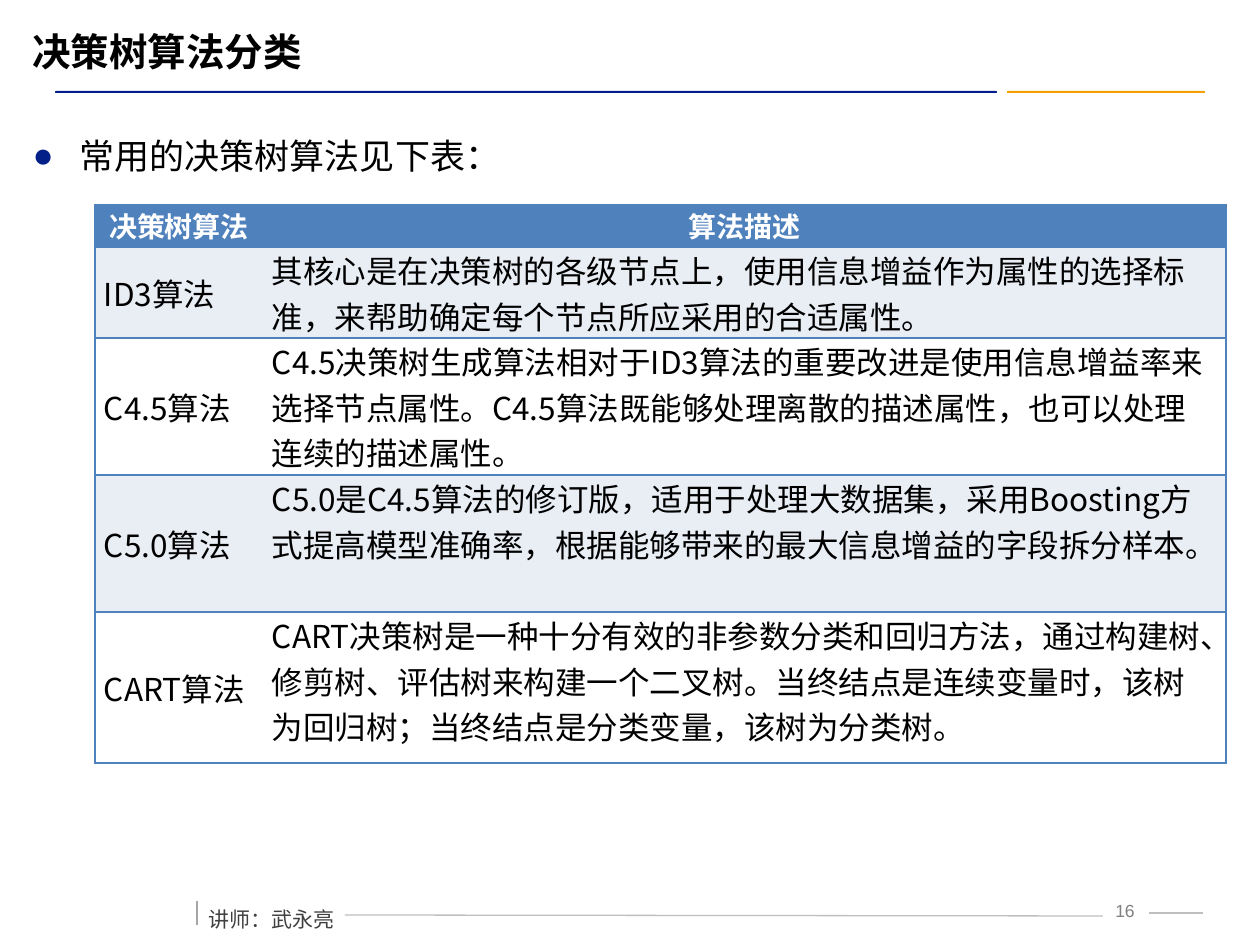
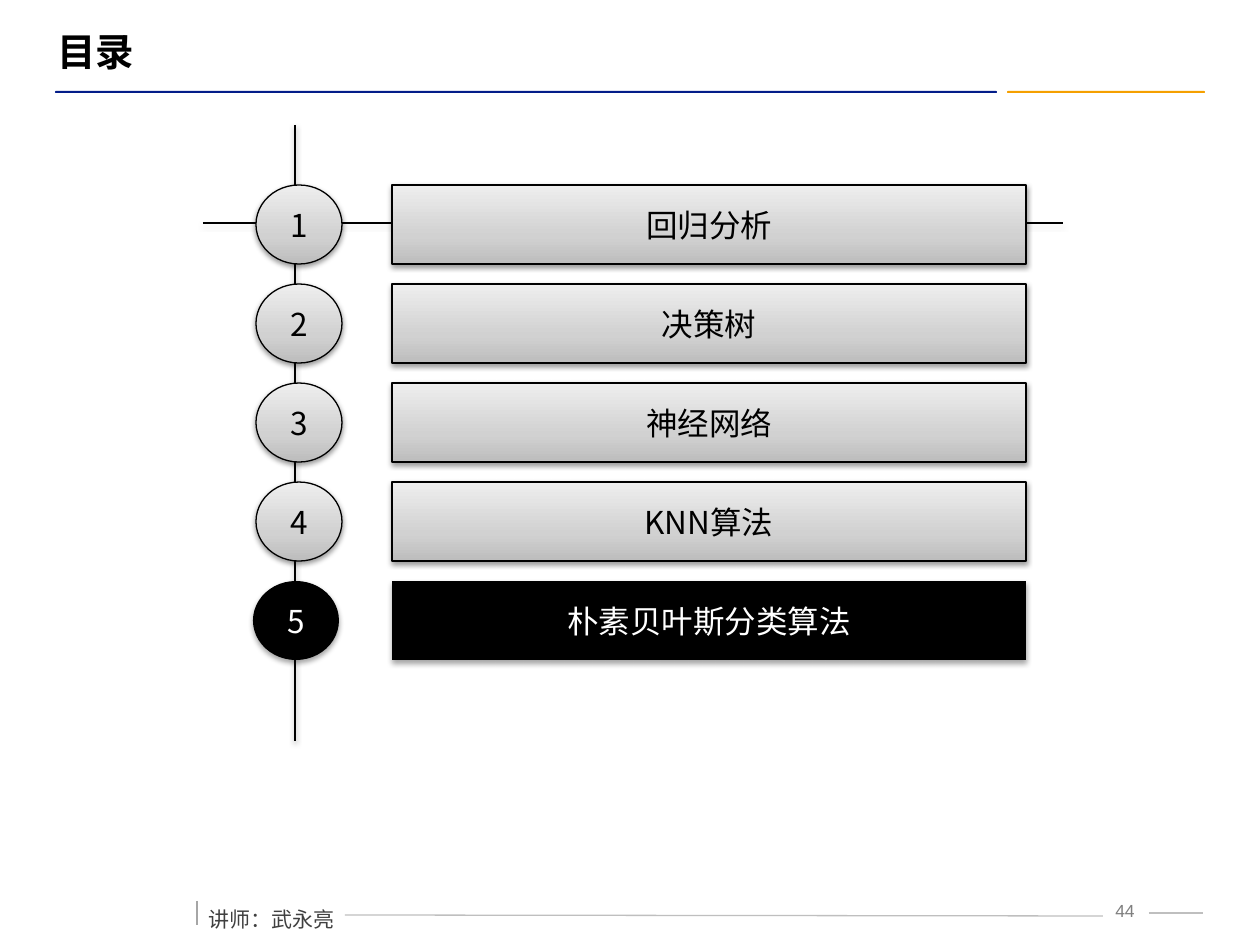
from lxml.etree import SubElement, fromstring
from pptx import Presentation
from pptx.dml.color import RGBColor
from pptx.enum.shapes import MSO_CONNECTOR, MSO_SHAPE
from pptx.enum.text import MSO_ANCHOR, MSO_AUTO_SIZE, PP_ALIGN
from pptx.oxml.ns import nsdecls, qn
from pptx.util import Pt

# Content
LECTURER = "讲师：武永亮"
TABLE_TITLE, TABLE_PAGE = "决策树算法分类", "16"
AGENDA_TITLE, AGENDA_PAGE = "目录", "44"
INTRO = "常用的决策树算法见下表："
ALGORITHMS = [
    ("决策树算法", "算法描述"),
    ("ID3算法", "其核心是在决策树的各级节点上，使用信息增益作为属性的选择标准，"
              "来帮助确定每个节点所应采用的合适属性。"),
    ("C4.5算法", "C4.5决策树生成算法相对于ID3算法的重要改进是使用信息增益率来选择节点属性。"
               "C4.5算法既能够处理离散的描述属性，也可以处理连续的描述属性。"),
    ("C5.0算法", "C5.0是C4.5算法的修订版，适用于处理大数据集，采用Boosting方式提高模型准确率，"
               "根据能够带来的最大信息增益的字段拆分样本。"),
    ("CART算法", "CART决策树是一种十分有效的非参数分类和回归方法，通过构建树、修剪树、"
               "评估树来构建一个二叉树。当终结点是连续变量时，该树为回归树；"
               "当终结点是分类变量，该树为分类树。"),
]
TOPICS = ["回归分析", "决策树", "神经网络", "KNN算法", "朴素贝叶斯分类算法"]
CURRENT_TOPIC = 4

# Theme
BLACK, WHITE = "000000", "FFFFFF"
NAVY, ORANGE, BULLET = "031D89", "F5A000", "032089"
TABLE_BLUE, BAND = "4F81BD", "E9EDF4"
GRAD_STOPS = [(0, "BDBDBD"), (35, "D1D1D1"), (100, "EEEEEE")]
CJK, LATIN = "Noto Sans CJK SC", "Arial"

# Geometry in px
COLS, ROWS = [168, 963], [42, 91, 137, 137, 151]
ROW_TOP, ROW_PITCH, ROW_H = 185, 99, 79


def px(n):
    return round(n * 914400 / 126)


def box(*lengths):
    return [px(n) for n in lengths]


def rgb(value):
    return RGBColor.from_string(value)


def write(tf, text, size=18, color=BLACK, font=CJK, bold=False,
          align=PP_ALIGN.LEFT, spacing=None, before=None):
    p = tf.paragraphs[0]
    p.alignment, p.line_spacing = align, spacing
    if before is not None:
        p.space_before = Pt(before)
    r = p.add_run()
    r.text = text
    r.font.size, r.font.bold, r.font.name = Pt(size), bold, font
    r.font.color.rgb = rgb(color)
    SubElement(r.font._element, qn("a:ea"), typeface=CJK)
    return p


def add_shadow(s, alpha=38, dist=1.6):
    effects = s._element.spPr.find(qn("a:effectLst"))
    if effects is None:
        effects = SubElement(s._element.spPr, qn("a:effectLst"))
    shadow = SubElement(effects, qn("a:outerShdw"), blurRad=str(Pt(3.1)),
                        dist=str(Pt(dist)), dir="5400000", rotWithShape="0")
    color = SubElement(shadow, qn("a:srgbClr"), val=BLACK)
    SubElement(color, qn("a:alpha"), val=str(alpha * 1000))


def add_line(slide, x1, y1, x2, y2, color):
    line = slide.shapes.add_connector(MSO_CONNECTOR.STRAIGHT, *box(x1, y1, x2, y2))
    line.line.color.rgb, line.line.width = rgb(color), Pt(0.75)
    SubElement(line._element.spPr, qn("a:effectLst"))
    return line


def add_shape(slide, kind, at, fill=None):
    s = slide.shapes.add_shape(kind, *box(*at))
    s.line.fill.background()
    s.shadow.inherit = False
    if fill:
        s.fill.solid()
        s.fill.fore_color.rgb = rgb(fill)
    return s


def add_grey_gradient(s):
    stops = "".join(f'<a:gs pos="{pos * 1000}"><a:srgbClr val="{color}"/></a:gs>'
                    for pos, color in GRAD_STOPS)
    grad = fromstring(f'<a:gradFill {nsdecls("a")}><a:gsLst>{stops}</a:gsLst>'
                      '<a:lin ang="16200000" scaled="0"/></a:gradFill>')
    s._element.spPr.find(qn("a:prstGeom")).addnext(grad)


def place(s, at):
    s.left, s.top, s.width, s.height = box(*at)


def new_slide(prs, layout, title, title_left, title_width, page):
    slide = prs.slides.add_slide(prs.slide_layouts[layout])
    # Rule under the title
    for left, width, color in [(1007, 198, ORANGE), (55, 942, NAVY)]:
        bar = add_shape(slide, MSO_SHAPE.ROUNDED_RECTANGLE, (left, 91, width, 2), color)
        bar.adjustments[0] = 0.5
    # Footer
    number = slide.shapes.add_textbox(*box(1095, 894, 60, 32)).text_frame
    number.word_wrap = True
    write(number, page, size=10, color="7F7F7F", font=LATIN, align=PP_ALIGN.CENTER)
    add_line(slide, 345, 915, 1103, 916, "BFBFBF")
    add_line(slide, 1149, 913, 1203, 913, "BFBFBF")
    add_line(slide, 197, 901, 197, 925, "A6A6A6")
    lecturer = slide.shapes.add_textbox(*box(196, 888, 152, 45)).text_frame
    lecturer.word_wrap = False
    lecturer.auto_size = MSO_AUTO_SIZE.SHAPE_TO_FIT_TEXT
    write(lecturer, LECTURER, size=12, color="404040", spacing=1.5, before=6)
    # Title
    place(slide.shapes.title, (title_left, 22, title_width, 59))
    tf = slide.shapes.title.text_frame
    tf.vertical_anchor = MSO_ANCHOR.MIDDLE
    write(tf, title, size=22, font=LATIN, bold=True)
    return slide


def set_borders(cell, hidden):
    for side in "LRTB":
        ln = SubElement(cell._tc.get_or_add_tcPr(), qn(f"a:ln{side}"), w=str(Pt(1)))
        if side == hidden:
            SubElement(ln, qn("a:noFill"))
        else:
            SubElement(SubElement(ln, qn("a:solidFill")), qn("a:srgbClr"), val=TABLE_BLUE)


def build_table_slide(prs):
    slide = new_slide(prs, 1, TABLE_TITLE, 20, 1147, TABLE_PAGE)
    # Bulleted introduction
    body = slide.placeholders[1]
    place(body, (20, 107, 1183, 178))
    p = write(body.text_frame, INTRO, size=20, spacing=1.5, before=4)
    pPr = p._p.get_or_add_pPr()
    pPr.set("marL", str(px(47)))
    pPr.set("indent", str(px(-47)))
    SubElement(SubElement(pPr, qn("a:buClr")), qn("a:srgbClr"), val=BULLET)
    SubElement(pPr, qn("a:buChar"), char="●")
    # Algorithm table
    frame = slide.shapes.add_table(len(ROWS), len(COLS), *box(95, 205, sum(COLS), sum(ROWS)))
    table = frame.table
    table.horz_banding = table.first_row = False
    for col, width in zip(table.columns, COLS):
        col.width = px(width)
    for i, (height, texts) in enumerate(zip(ROWS, ALGORITHMS)):
        table.rows[i].height = px(height)
        for j, text in enumerate(texts):
            cell = table.cell(i, j)
            cell.margin_left = px(9)
            cell.margin_right = px(15 if i else 9)
            cell.margin_top = cell.margin_bottom = 0
            set_borders(cell, hidden="RL"[j])
            cell.fill.solid()
            if i == 0:
                cell.fill.fore_color.rgb = rgb(TABLE_BLUE)
                write(cell.text_frame, text, size=16, color=WHITE, font=LATIN,
                      bold=True, align=PP_ALIGN.CENTER)
            else:
                cell.fill.fore_color.rgb = rgb(BAND if i % 2 else WHITE)
                cell.vertical_anchor = MSO_ANCHOR.TOP if j else MSO_ANCHOR.MIDDLE
                write(cell.text_frame, text)


def build_agenda_slide(prs):
    slide = new_slide(prs, 5, AGENDA_TITLE, 45, 1121, AGENDA_PAGE)
    # Axes behind the topics
    for ends in [(295, 125, 295, 741), (203, 223, 1063, 223)]:
        add_shadow(add_line(slide, *ends, BLACK))
    # Numbered topics
    for i, topic in enumerate(TOPICS):
        current = i == CURRENT_TOPIC
        top = ROW_TOP + i * ROW_PITCH
        parts = [(MSO_SHAPE.OVAL, 253 if current else 256, 86, str(i + 1)),
                 (MSO_SHAPE.ACTION_BUTTON_CUSTOM, 392, 634, topic)]
        for kind, left, width, text in parts:
            s = add_shape(slide, kind, (left, top, width, ROW_H), BLACK if current else None)
            if current:
                add_shadow(s, alpha=35, dist=1.8)
            else:
                add_grey_gradient(s)
                s.line.color.rgb, s.line.width = rgb(BLACK), Pt(0.75)
                add_shadow(s)
            s.text_frame.word_wrap = False
            s.text_frame.vertical_anchor = MSO_ANCHOR.MIDDLE
            write(s.text_frame, text, color=WHITE if current else BLACK,
                  align=PP_ALIGN.CENTER)


def main():
    prs = Presentation()
    prs.slide_width, prs.slide_height = box(1260, 945)
    build_table_slide(prs)
    build_agenda_slide(prs)
    prs.save("out.pptx")


if __name__ == "__main__":
    main()
